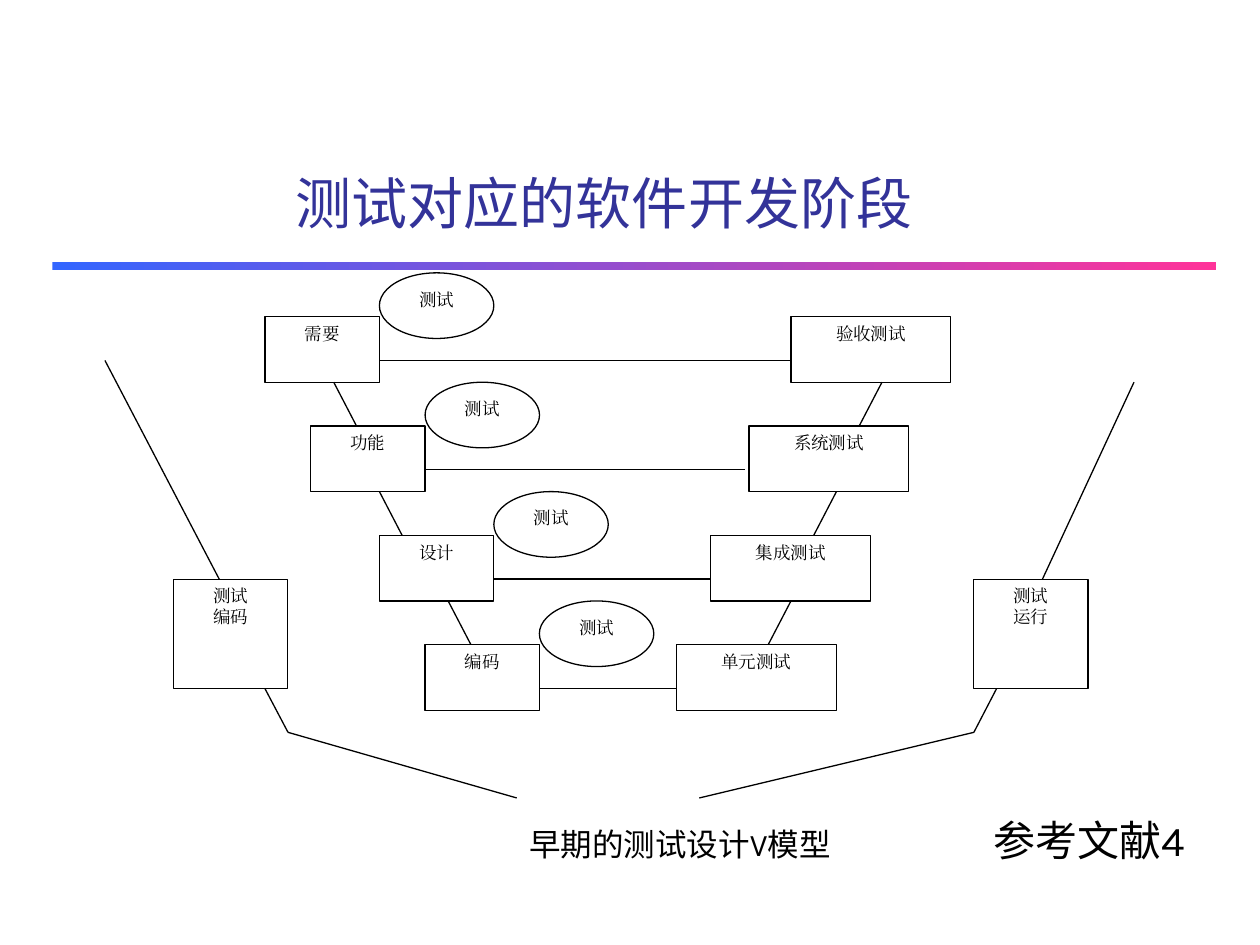
from itertools import pairwise

from lxml import etree
from pptx import Presentation
from pptx import util as u
from pptx.dml.color import RGBColor
from pptx.enum import shapes, text
from pptx.oxml import ns

SANS, LATIN, SERIF = "Noto Sans CJK SC", "Karla", "Times New Roman"
BLACK, WHITE, NAVY = "000000", "FFFFFF", "333399"


def color(value):
    return RGBColor.from_string(value)


def add_span(para, words, *, size, font, fill=BLACK):
    span = para.add_run()
    span.text = words
    span.font.size = u.Pt(size)
    span.font.name = font
    span.font.color.rgb = color(fill)
    east_asian = etree.SubElement(span.font._element, ns.qn("a:ea"))
    east_asian.set("typeface", font)


class Canvas:
    line_width = 0.75
    label = {"size": 10, "font": SERIF}

    def __init__(self, page):
        self.page = page

    def node(self, kind, left, top, width, height, *lines):
        box = self.page.shapes.add_shape(kind, *map(u.Pt, (left, top, width, height)))
        box.shadow.inherit = False
        box.fill.solid()
        box.fill.fore_color.rgb = color(WHITE)
        box.line.color.rgb = color(BLACK)
        box.line.width = u.Pt(self.line_width)
        frame = box.text_frame
        frame.vertical_anchor = text.MSO_ANCHOR.TOP
        for index, words in enumerate(lines):
            para = frame.add_paragraph() if index else frame.paragraphs[0]
            para.alignment = text.PP_ALIGN.CENTER
            add_span(para, words, **self.label)

    def line(self, *points):
        for start, end in pairwise(points):
            link = self.page.shapes.add_connector(
                shapes.MSO_CONNECTOR.STRAIGHT, *map(u.Pt, (*start, *end)))
            link.line.color.rgb = color(BLACK)
            link.line.width = u.Pt(self.line_width)
            etree.SubElement(link._element.spPr, ns.qn("a:effectLst"))

    def text(self, left, top, width, height):
        box = self.page.shapes.add_textbox(*map(u.Pt, (left, top, width, height)))
        box.text_frame.word_wrap = True
        box.text_frame.vertical_anchor = text.MSO_ANCHOR.BOTTOM
        return box.text_frame

    def gradient_bar(self, left, top, width, height, *stops):
        bar = self.page.shapes.add_shape(
            shapes.MSO_SHAPE.RECTANGLE, *map(u.Pt, (left, top, width, height)))
        bar.shadow.inherit = False
        bar.line.fill.background()
        bar.fill.gradient()
        bar.fill.gradient_angle = 0
        for stop, value in zip(bar.fill.gradient_stops, stops):
            stop.color.rgb = color(value)


def main():
    deck = Presentation()
    deck.slide_width, deck.slide_height = u.Pt(720), u.Pt(540)
    page = deck.slides.add_slide(deck.slide_layouts[6])
    canvas = Canvas(page)
    rect, oval = shapes.MSO_SHAPE.RECTANGLE, shapes.MSO_SHAPE.OVAL

    # Title and rule
    canvas.gradient_bar(30, 149.75, 665, 4.5, "3366FF", "FF3399")
    title = canvas.text(162, 48, 542, 90)
    add_span(title.paragraphs[0], "测试对应的软件开发阶段", size=32, font=SANS, fill=NAVY)

    # Caption and reference
    caption = canvas.text(216, 213, 474, 285)
    caption.margin_left = u.Pt(86.5)
    para = caption.paragraphs[0]
    tabs = etree.SubElement(para._p.get_or_add_pPr(), ns.qn("a:tabLst"))
    etree.SubElement(tabs, ns.qn("a:tab"), pos=str(u.Pt(265)), algn="l")
    add_span(para, "早期的测试设计", size=18, font=SANS)
    add_span(para, "V", size=18, font=LATIN)
    add_span(para, "模型\t", size=18, font=SANS)
    add_span(para, "参考文献4", size=24, font=LATIN)

    # V model: phase, its left edge, matching test, its left edge, gap before it
    levels = [
        ("需要", 151.4, "验收测试", 452, 0),
        ("功能", 177.5, "系统测试", 428, 2.5),
        ("设计", 216.8, "集成测试", 406.2, 0),
        ("编码", 242.8, "单元测试", 386.5, 0),
    ]
    first_top, step = 180.9, 62.5
    phase_width, test_width, height = 65.4, 91.4, 37.5
    for row, (phase, left, test, test_left, gap) in enumerate(levels):
        top = first_top + row * step
        bottom, next_top = top + height, top + step
        right = left + phase_width
        canvas.node(rect, left, top, phase_width, height, phase)
        canvas.node(oval, right, top - 25, phase_width, height, "测试")
        canvas.node(rect, test_left, top, test_width, height, test)
        canvas.line((right, top + 25), (test_left - gap, top + 25))
        if row < len(levels) - 1:
            canvas.line((left + 39.3, bottom), (left + 52.3, next_top))
            test_x = 504 - 26 * row
            canvas.line((test_x, bottom), (test_x - 13, next_top))

    # Outer V
    side_top, side_height = 331, 62.5
    side_bottom = side_top + side_height
    canvas.node(rect, 99, side_top, phase_width, side_height, "测试", "编码")
    canvas.node(rect, 556.3, side_top, phase_width, side_height, "测试", "运行")
    canvas.line((60, 206), (125.3, side_top))
    canvas.line((151.4, side_bottom), (164.6, 418.5), (295.3, 456))
    canvas.line((648, 218.4), (595.7, side_top))
    canvas.line((569.5, side_bottom), (556.5, 418.5), (399.6, 456))

    deck.save("out.pptx")


if __name__ == "__main__":
    main()
